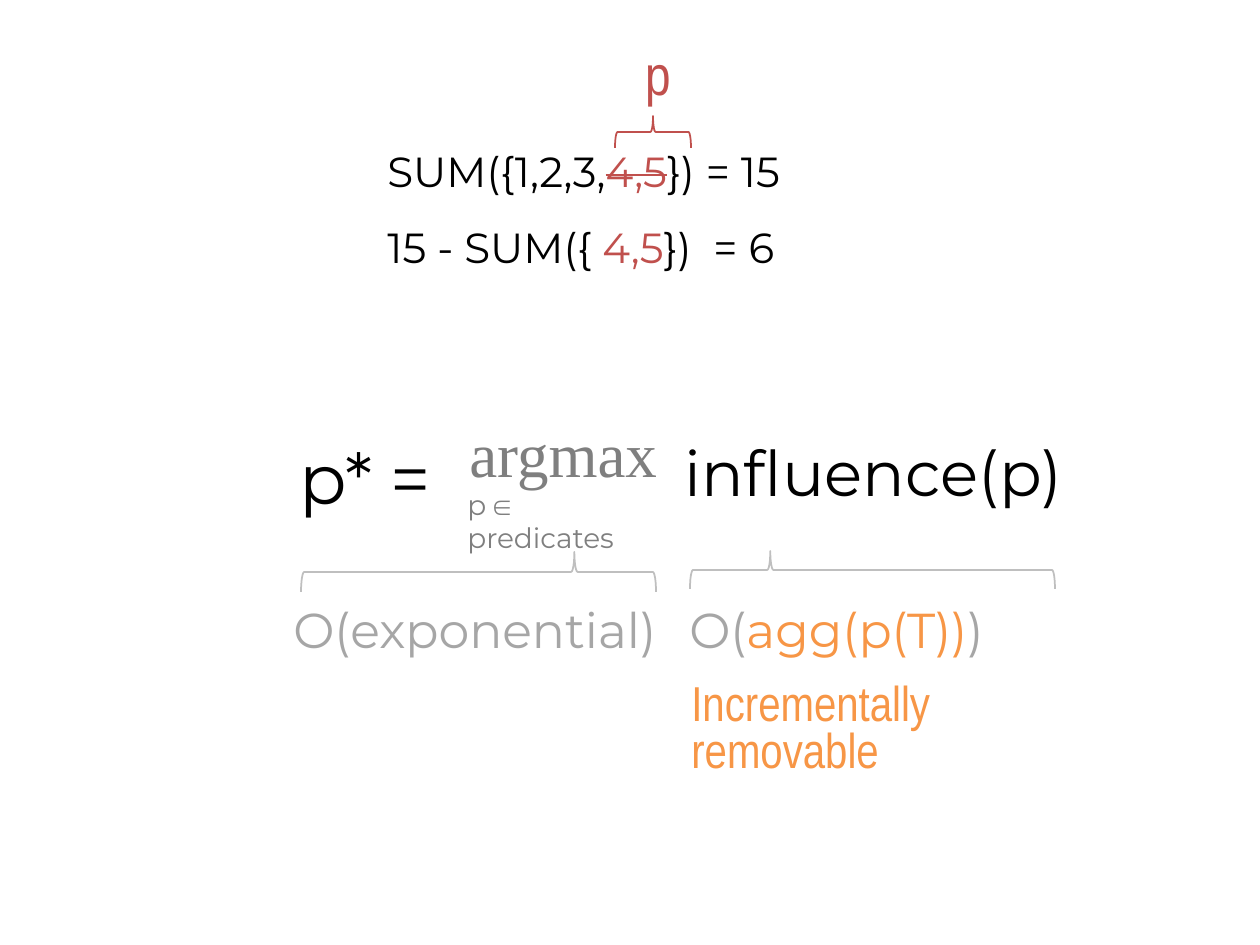
from pptx import Presentation
from pptx import util as u
from pptx.dml.color import RGBColor
from pptx.enum import shapes, text
from lxml import etree

PX = 914400 // 126
theme = {
    "black": "000000", "red": "C0504D", "orange": "F79646",
    "dim": "7F7F7F", "pale": "A6A6A6", "rule": "BFBFBF",
    "star": 40, "formula": 36, "label": 32, "cost": 28, "example": 24, "domain": 16,
    "sans": "Montserrat", "narrow": "Arial Narrow", "serif": "Times New Roman",
    "symbol": "Courier New",
}


def add_runs(paragraph, size, runs):
    for words, face, color, *strike in runs:
        run = paragraph.add_run()
        run.text = words
        for name, value in {"name": theme[face], "size": u.Pt(theme[size])}.items():
            setattr(run.font, name, value)
        run.font.color.rgb = RGBColor.from_string(theme[color])
        if strike:
            run.font._element.set("strike", "sngStrike")


deck = Presentation()
deck.slide_width, deck.slide_height = 1260 * PX, 945 * PX
slide = deck.slides.add_slide(deck.slide_layouts[1])
heading = slide.shapes.title
heading._element.getparent().remove(heading._element)

influence = slide.placeholders[1]
for side, length in {"left": 656, "top": 397, "width": 435, "height": 149}.items():
    setattr(influence, side, length * PX)
influence.text_frame.vertical_anchor = text.MSO_ANCHOR.MIDDLE
objective = influence.text_frame.paragraphs[0]
objective.alignment = text.PP_ALIGN.CENTER
properties = objective._p.get_or_add_pPr()
for name in ("marL", "indent"):
    properties.set(name, "0")
etree.SubElement(properties, "{http://schemas.openxmlformats.org/drawingml/2006/main}buNone")
add_runs(objective, "formula", [("influence(p)", "sans", "black")])

phrases = [
    (457, 408, 215, 89, False, 1, "formula", [("argmax", "serif", "dim")]),
    (455, 481, 220, 47, True, 1, "domain",
     [("p ", "sans", "dim"), ("∈ ", "symbol", "dim"), ("predicates", "sans", "dim")]),
    (287, 428, 166, 97, False, 1, "star", [("p* =", "sans", "black")]),
    (281, 593, 391, 72, False, 1, "cost", [("O(exponential)", "sans", "pale")]),
    (677, 593, 355, 72, False, 1, "cost",
     [("O(", "sans", "pale"), ("agg(p(T))", "sans", "orange"), (")", "sans", "pale")]),
    (679, 678, 365, 110, True, 0.8, "cost",
     [("Incrementally removable", "narrow", "orange")]),
    (375, 215, 450, 63, False, 1, "example",
     [("15 - SUM({ ", "sans", "black"), ("4,5", "sans", "red"), ("})  = 6", "sans", "black")]),
    (375, 139, 449, 63, False, 1, "example",
     [("SUM({1,2,3,", "sans", "black"), ("4,5", "sans", "red", True),
      ("}) = 15", "sans", "black")]),
    (633, 33, 53, 81, False, 1, "label", [("p", "narrow", "red")]),
]
for left, top, width, height, wrap, spacing, size, runs in phrases:
    frame = slide.shapes.add_textbox(left * PX, top * PX, width * PX, height * PX).text_frame
    frame.word_wrap = wrap
    frame.auto_size = text.MSO_AUTO_SIZE.SHAPE_TO_FIT_TEXT
    frame.paragraphs[0].line_spacing = spacing
    add_runs(frame.paragraphs[0], size, runs)

braces = [
    (301, 552, 355, 40, 0.23, "rule"),
    (690, 551, 365, 38, 0.78, "rule"),
    (615, 116, 76, 32, 0.5, "red"),
]
for left, top, span, depth, tip, color in braces:
    brace = slide.shapes.add_shape(
        shapes.MSO_SHAPE.LEFT_BRACE,
        (2 * left + span - depth) * PX // 2, (2 * top + depth - span) * PX // 2,
        depth * PX, span * PX)
    brace.rotation = 90
    brace.adjustments[0] = 0.08
    brace.adjustments[1] = tip
    brace.shadow.inherit = False
    brace.fill.background()
    brace.line.color.rgb = RGBColor.from_string(theme[color])
    brace.line.width = u.Pt(1)

deck.save("out.pptx")
